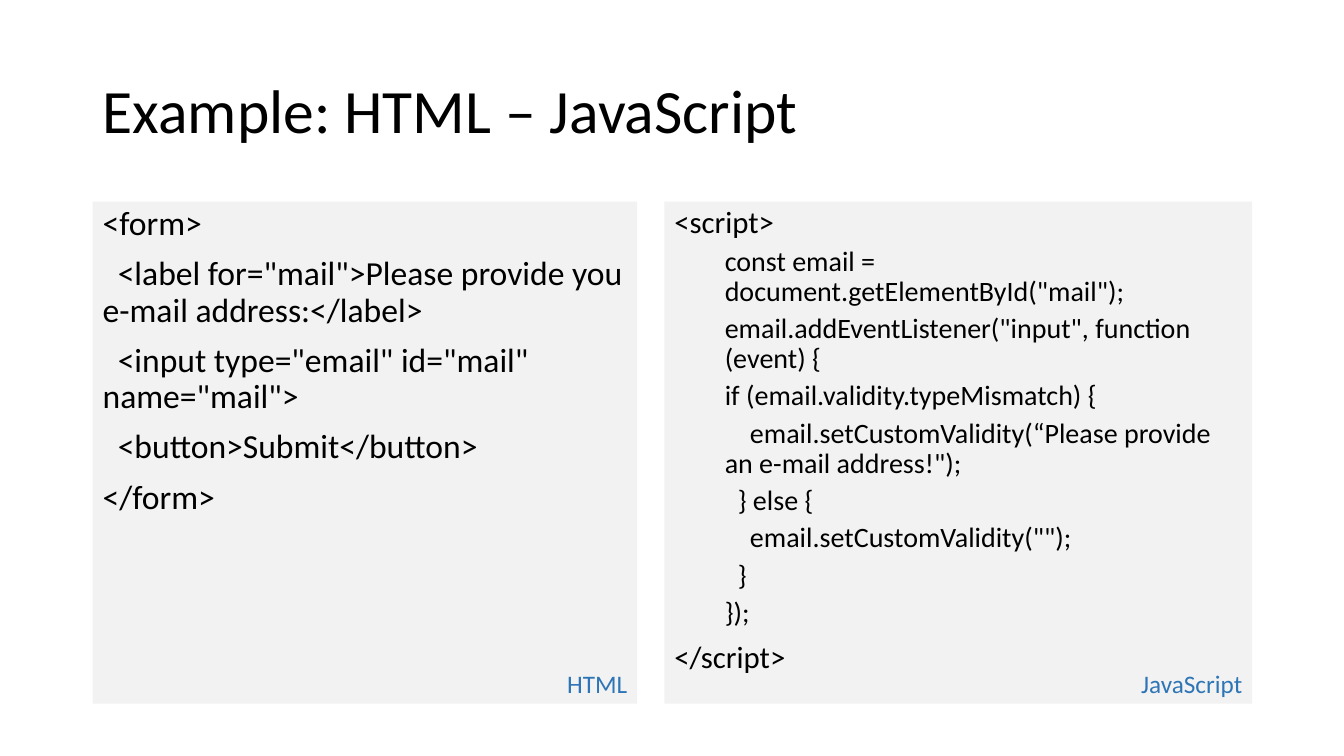
from pptx import Presentation
from pptx.dml.color import RGBColor
from pptx.enum.shapes import MSO_SHAPE
from pptx.enum.text import MSO_ANCHOR, PP_ALIGN
from pptx.util import Inches, Pt

RECTANGLE = MSO_SHAPE.RECTANGLE
TOP, MIDDLE = MSO_ANCHOR.TOP, MSO_ANCHOR.MIDDLE
LEFT, RIGHT = PP_ALIGN.LEFT, PP_ALIGN.RIGHT

FONT = "Calibri"
COLORS = {"text": "000000", "panel": "F2F2F2", "label": "2E75B6"}

# Content: each code line is (nesting level, first-line indent in inches, text)
TITLE = "Example: HTML – JavaScript"
HTML_LINES = [
    (0, 0, '<form>'),
    (0, 0.15, '<label for="mail">Please provide you e-mail address:</label>'),
    (0, 0.15, '<input type="email" id="mail" name="mail">'),
    (0, 0.15, '<button>Submit</button>'),
    (0, 0, '</form>'),
]
SCRIPT_LINES = [
    (0, 0, '<script>'),
    (1, 0, 'const email = document.getElementById("mail");'),
    (1, 0, 'email.addEventListener("input", function (event) {'),
    (1, 0, 'if (email.validity.typeMismatch) {'),
    (1, 0.25, 'email.setCustomValidity(“Please provide an e-mail address!");'),
    (1, 0.13, '} else {'),
    (1, 0.25, 'email.setCustomValidity("");'),
    (1, 0.13, '}'),
    (1, 0, '});'),
    (0, 0, '</script>'),
]
# Panels: label, left, width, label width, text size per level, code lines
PANELS = [
    ("HTML", 0.92, 5.4, 0.83, (24,), HTML_LINES),
    ("JavaScript", 6.59, 5.83, 1.54, (22, 20), SCRIPT_LINES),
]
PANEL_TOP, PANEL_HEIGHT = 2, 4.98
LABEL_HEIGHT = 0.4
LEVEL_INDENT = 0.5
SPACE_BEFORE = (10, 5)


def write(para, text, size, color="text", align=LEFT, level=0, indent=0,
          line_spacing=0.9, space_before=0):
    para.alignment = align
    para.level = level
    para.line_spacing = line_spacing
    para.space_before = Pt(space_before)
    properties = para._p.get_or_add_pPr()
    properties.set("marL", str(Inches(LEVEL_INDENT * level)))
    properties.set("indent", str(Inches(indent)))
    span = para.add_run()
    span.text = text
    span.font.name = FONT
    span.font.size = Pt(size)
    span.font.color.rgb = RGBColor.from_string(COLORS[color])


def add_text(page, left, top, width, height, text, size, anchor=TOP, **style):
    box = page.shapes.add_textbox(Inches(left), Inches(top), Inches(width), Inches(height))
    box.text_frame.word_wrap = True
    box.text_frame.vertical_anchor = anchor
    write(box.text_frame.paragraphs[0], text, size, **style)


def add_panel(page, left, width, sizes, lines):
    panel = page.shapes.add_shape(RECTANGLE, Inches(left), Inches(PANEL_TOP),
                                  Inches(width), Inches(PANEL_HEIGHT))
    panel.shadow.inherit = False
    panel.fill.solid()
    panel.fill.fore_color.rgb = RGBColor.from_string(COLORS["panel"])
    panel.line.fill.background()
    frame = panel.text_frame
    frame.word_wrap = True
    frame.vertical_anchor = TOP
    for number, (level, indent, text) in enumerate(lines):
        para = frame.add_paragraph() if number else frame.paragraphs[0]
        write(para, text, sizes[level], level=level, indent=indent,
              space_before=SPACE_BEFORE[level])


def main():
    deck = Presentation()
    deck.slide_width, deck.slide_height = Inches(13.33), Inches(7.5)
    page = deck.slides.add_slide(deck.slide_layouts[6])

    # Title
    add_text(page, 0.92, 0.4, 11.5, 1.45, TITLE, 44, anchor=MIDDLE)

    # Code panels, each with its language in the bottom right corner
    for label, left, width, label_width, sizes, lines in PANELS:
        add_panel(page, left, width, sizes, lines)
        add_text(page, left + width - label_width, PANEL_TOP + PANEL_HEIGHT - LABEL_HEIGHT,
                 label_width, LABEL_HEIGHT, label, 18,
                 color="label", align=RIGHT, line_spacing=1.0)

    deck.save("out.pptx")


if __name__ == "__main__":
    main()
